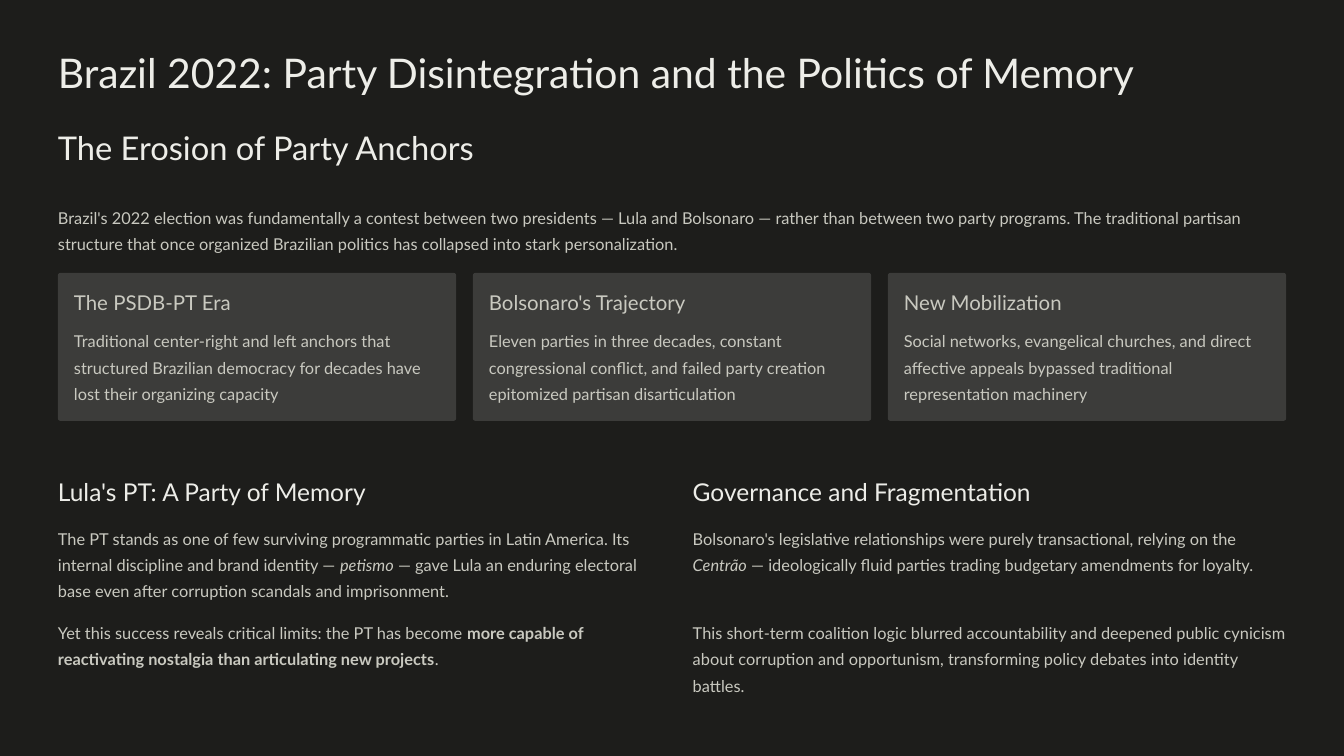
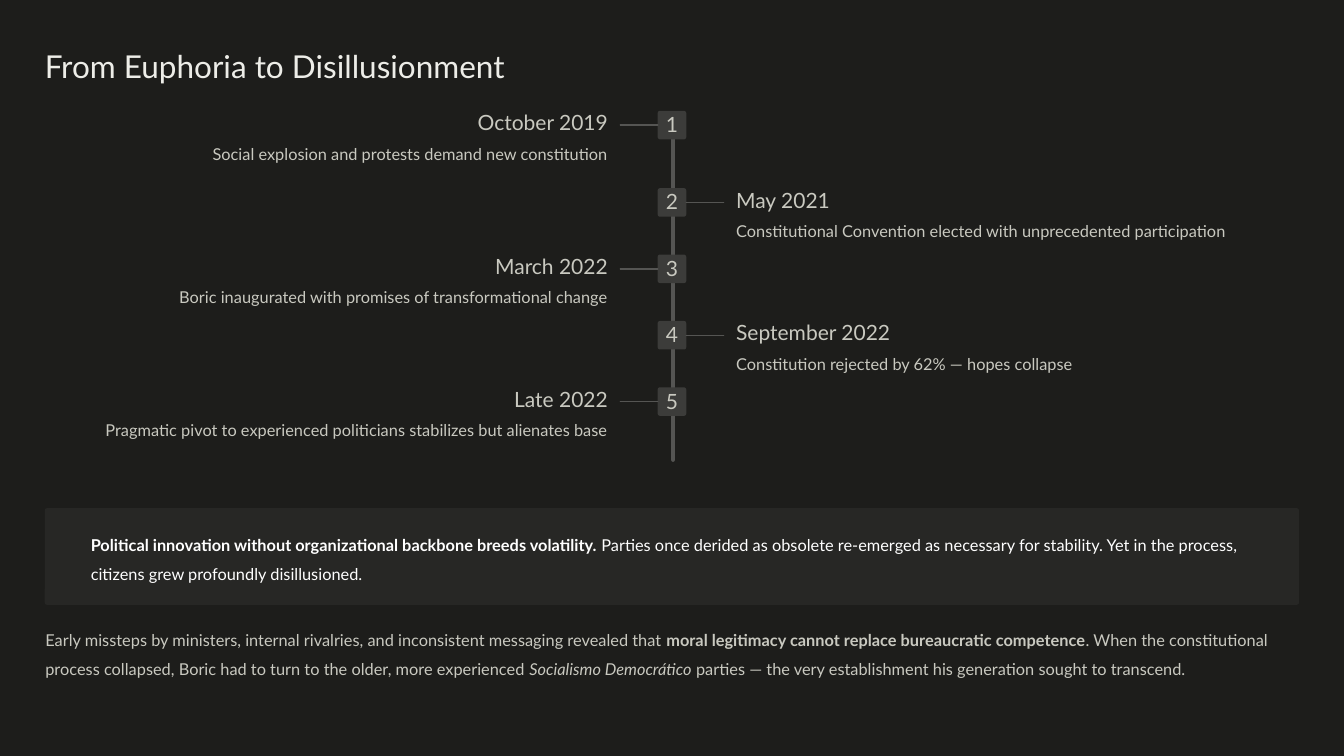
from lxml import etree
from pptx import Presentation
from pptx.dml.color import RGBColor
from pptx.enum.shapes import MSO_CONNECTOR as Connector, MSO_SHAPE as Shape
from pptx.enum.text import MSO_ANCHOR as Anchor, PP_ALIGN as Align
from pptx.oxml.ns import qn
from pptx.util import Pt

FONT = "Lato"
BACKGROUND, CARD, CALLOUT, LINE = "1D1D1B", "3C3C3A", "272725", "555553"
TITLE, BODY, WHITE = "EDEDE8", "C9C9C0", "FFFFFF"
BOLD, ITALIC = "bold", "italic"


def paint(fill, colour):
    fill.solid()
    fill.fore_color.rgb = RGBColor.from_string(colour)


def write(frame, text, size=14, colour=BODY, spacing=Pt(22.5), align=Align.LEFT):
    """Text is a string or a list of strings and (string, style) pairs."""
    frame.margin_left = frame.margin_right = frame.margin_top = frame.margin_bottom = 0
    frame.word_wrap = True
    paragraph = frame.paragraphs[0]
    paragraph.alignment = align
    paragraph.line_spacing = spacing
    for part in [text] if isinstance(text, str) else text:
        words, style = (part, None) if isinstance(part, str) else part
        run = paragraph.add_run()
        run.text = words
        run.font.name, run.font.size = FONT, Pt(size)
        run.font.color.rgb = RGBColor.from_string(colour)
        run.font.bold, run.font.italic = style == BOLD, style == ITALIC


def add_text(slide, left, top, width, height, text, **style):
    box = slide.shapes.add_textbox(Pt(left), Pt(top), Pt(width), Pt(height))
    write(box.text_frame, text, **style)


def add_panel(slide, left, top, width, height, colour):
    panel = slide.shapes.add_shape(
        Shape.ROUNDED_RECTANGLE, Pt(left), Pt(top), Pt(width), Pt(height))
    panel.adjustments[0] = 2 / min(width, height)
    panel.shadow.inherit = False
    paint(panel.fill, colour)
    panel.line.fill.background()
    return panel


def add_line(slide, x1, y1, x2, y2, width):
    line = slide.shapes.add_connector(Connector.STRAIGHT, Pt(x1), Pt(y1), Pt(x2), Pt(y2))
    line.line.width = Pt(width)
    paint(line.line.fill, LINE)
    properties = line._element.spPr
    properties.find(qn("a:ln")).set("cap", "rnd")
    etree.SubElement(properties, qn("a:effectLst"))
    return line


def add_card(slide, left, top, width, height, heading, body):
    pad = 13.7
    add_panel(slide, left, top, width, height, CARD)
    add_text(slide, left + pad, top + pad, width - 2 * pad, 22, heading,
             size=17.5, spacing=Pt(22))
    add_text(slide, left + pad, top + 44.6, width - 2 * pad, 67.7, body)


def add_column(slide, left, top, width, heading, first, second):
    add_text(slide, left, top, width, 26.6, heading, size=21, colour=TITLE, spacing=Pt(26.5))
    add_text(slide, left, top + 40.3, width, 67.7, first)
    add_text(slide, left, top + 121, width, 67.7, second)


def add_event(slide, centre, top, number, date, description):
    badge_size, branch, reach, width = 24.5, 32, 55, 482.4
    on_left = number % 2 == 1
    side = -1 if on_left else 1
    badge = add_panel(slide, centre - badge_size / 2, top, badge_size, badge_size, CARD)
    write(badge.text_frame, str(number), size=18, spacing=Pt(16), align=Align.CENTER)
    badge.text_frame.vertical_anchor = Anchor.MIDDLE
    badge.text_frame.margin_top = Pt(4)
    # Branch from the badge towards the text
    edge, middle = centre + side * badge_size / 2, top + badge_size / 2
    line = add_line(slide, edge, middle, edge + side * branch, middle, 1.2)
    line.begin_connect(badge, 1 if on_left else 3)
    # Date and description
    left = centre - reach - width if on_left else centre + reach
    align = Align.RIGHT if on_left else Align.LEFT
    add_text(slide, left, top + 3.8, width, 17.3, date, size=18, spacing=Pt(17), align=align)
    add_text(slide, left, top + 27.5, width, 17.3, description, spacing=Pt(17.5), align=align)


def add_timeline(slide, centre, top, height, events):
    add_line(slide, centre + 1, top + 2, centre + 1, top + height - 2, 3.8)
    first_step, step = 66.3, 56.9
    for index, event in enumerate(events):
        offset = first_step + (index - 1) * step if index else 0
        add_event(slide, centre, top + offset, index + 1, *event)


def build_brazil(slide):
    left, width = 49.7, 1052.6
    # Title and introduction
    add_text(slide, left, 38.9, width, 88.6, "Brazil 2022: Party Disintegration and the Politics of Memory",
             size=35, colour=TITLE, spacing=Pt(44))
    add_text(slide, left, 108, width, 35.3, "The Erosion of Party Anchors",
             size=28, colour=TITLE, spacing=Pt(35))
    add_text(slide, left, 172.8, width, 45.4,
             "Brazil's 2022 election was fundamentally a contest between two presidents — Lula and "
             "Bolsonaro — rather than between two party programs. The traditional partisan structure "
             "that once organized Brazilian politics has collapsed into stark personalization.")
    # Cards
    cards = [
        ("The PSDB-PT Era", "Traditional center-right and left anchors that structured "
         "Brazilian democracy for decades have lost their organizing capacity"),
        ("Bolsonaro's Trajectory", "Eleven parties in three decades, constant congressional "
         "conflict, and failed party creation epitomized partisan disarticulation"),
        ("New Mobilization", "Social networks, evangelical churches, and direct affective "
         "appeals bypassed traditional representation machinery"),
    ]
    gap = 14.4
    card_width = (width - gap * (len(cards) - 1)) / len(cards)
    for index, card in enumerate(cards):
        add_card(slide, left + index * (card_width + gap), 234, card_width, 126.7, *card)
    # Columns
    columns = [
        ("Lula's PT: A Party of Memory",
         ["The PT stands as one of few surviving programmatic parties in Latin America. Its "
          "internal discipline and brand identity — ", ("petismo", ITALIC),
          " — gave Lula an enduring electoral base even after corruption scandals and imprisonment."],
         ["Yet this success reveals critical limits: the PT has become ",
          ("more capable of reactivating nostalgia than articulating new projects", BOLD), "."]),
        ("Governance and Fragmentation",
         ["Bolsonaro's legislative relationships were purely transactional, relying on the ",
          ("Centrão", ITALIC),
          " — ideologically fluid parties trading budgetary amendments for loyalty."],
         "This short-term coalition logic blurred accountability and deepened public cynicism "
         "about corruption and opportunism, transforming policy debates into identity battles."),
    ]
    column_width = 509
    for index, column in enumerate(columns):
        add_column(slide, left + index * (width - column_width + 0.5), 407.5, column_width, *column)


def build_chile(slide):
    left, width = 38.4, 1075
    add_text(slide, left, 38.9, width, 34.6, "From Euphoria to Disillusionment",
             size=27, colour=TITLE, spacing=Pt(34))
    # Timeline
    add_timeline(slide, 576, 95, 301, [
        ("October 2019", "Social explosion and protests demand new constitution"),
        ("May 2021", "Constitutional Convention elected with unprecedented participation"),
        ("March 2022", "Boric inaugurated with promises of transformational change"),
        ("September 2022", "Constitution rejected by 62% — hopes collapse"),
        ("Late 2022", "Pragmatic pivot to experienced politicians stabilizes but alienates base"),
    ])
    # Callout
    add_panel(slide, left, 435.6, width, 82.8, CALLOUT)
    add_text(slide, left + 39.4, 450, 1021.7, 35.3,
             [("Political innovation without organizational backbone breeds volatility.", BOLD),
              " Parties once derided as obsolete re-emerged as necessary for stability. Yet in the "
              "process, citizens grew profoundly disillusioned."],
             colour=WHITE, spacing=1.5)
    # Closing paragraph
    add_text(slide, left + 0.5, 531.4, width, 82.8,
             ["Early missteps by ministers, internal rivalries, and inconsistent messaging revealed that ",
              ("moral legitimacy cannot replace bureaucratic competence", BOLD),
              ". When the constitutional process collapsed, Boric had to turn to the older, more "
              "experienced ", ("Socialismo Democrático", ITALIC),
              " parties — the very establishment his generation sought to transcend."],
             spacing=1.5)


def main():
    presentation = Presentation()
    presentation.slide_width, presentation.slide_height = Pt(1152), Pt(648)
    paint(presentation.slide_master.background.fill, BACKGROUND)
    blank = presentation.slide_layouts[6]
    for build in (build_brazil, build_chile):
        build(presentation.slides.add_slide(blank))
    presentation.save("out.pptx")


if __name__ == "__main__":
    main()
